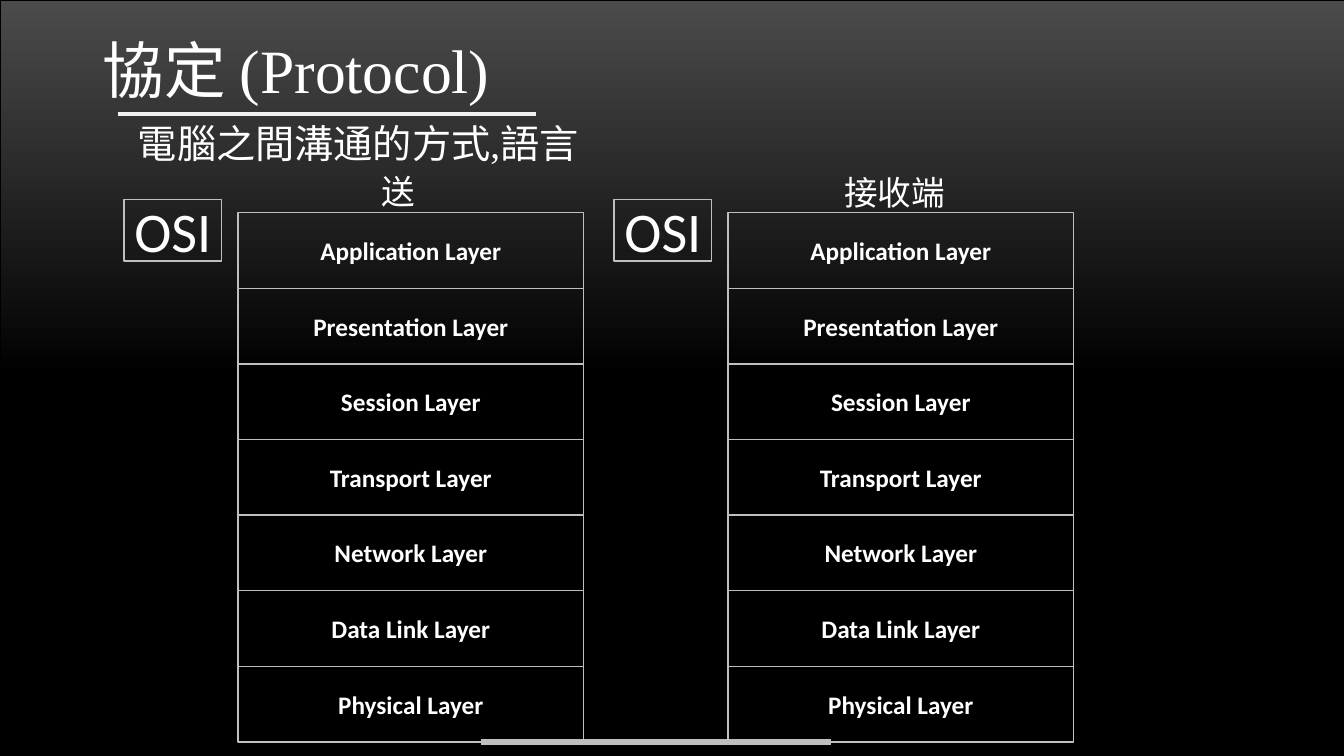
from pptx import Presentation
from pptx.dml.color import RGBColor
from pptx.enum.shapes import MSO_CONNECTOR as Connector, MSO_SHAPE as Shape
from pptx.enum.text import MSO_ANCHOR as Anchor, PP_ALIGN as Align
from pptx.oxml.ns import qn
from pptx.util import Inches, Pt
from lxml import etree

# Content
TITLE = "協定 (Protocol)"
SUBTITLE = "電腦之間溝通的方式,語言"
MODEL = "OSI"
LAYERS = ["Application", "Presentation", "Session", "Transport",
          "Network", "Data Link", "Physical"]
# Each end: heading, heading box, left edge of its layer stack
ENDS = [("送", (3.47, 1.59, 0.97, 0.61), 2.36),
        ("接收端", (8.24, 1.6, 1.27, 0.61), 7.22)]

THEME = {
    "text": "FFFFFF", "border": "BFBFBF", "rule": "F2F2F2",
    "top": "4B4B4B", "base": "000000",
    "serif": "Times New Roman", "sans": "Calibri",
    "title": 44, "subtitle": 28, "model": 40, "heading": 24, "layer": 18,
}

# Layout
WIDTH, HEIGHT = 13.33, 7.5
STACK_TOP, LAYER_WIDTH, LAYER_HEIGHT = 2.11, 3.43, 0.75
MODEL_OFFSET, MODEL_TOP = -1.13, 1.98


def color(name):
    return RGBColor.from_string(THEME[name])


def write(shape, text, size, font="sans", bold=False, centered=True):
    frame = shape.text_frame
    frame.word_wrap = True
    frame.vertical_anchor = Anchor.MIDDLE
    if centered:
        frame.margin_left = frame.margin_right = Inches(0.05)
    para = frame.paragraphs[0]
    para.text = text
    para.alignment = Align.CENTER if centered else Align.LEFT
    if not centered:
        para.line_spacing = 0.9
    para.font.size = Pt(THEME[size])
    para.font.name = THEME[font]
    para.font.bold = bold
    para.font.color.rgb = color("text")


def add_label(area, text, size, **style):
    write(page.shapes.add_textbox(*map(Inches, area)), text, size, **style)


def add_rect(area, border, weight):
    box = page.shapes.add_shape(Shape.RECTANGLE, *map(Inches, area))
    box.shadow.inherit = False
    box.line.color.rgb = color(border)
    box.line.width = Pt(weight)
    return box


def add_outlined(area, text, size, bold=False):
    box = add_rect(area, "border", 1)
    box.fill.background()
    write(box, text, size, bold=bold)


def add_rule(left, right, y, name, weight):
    rule = page.shapes.add_connector(
        Connector.STRAIGHT, Inches(left), Inches(y), Inches(right), Inches(y))
    rule.line.color.rgb = color(name)
    rule.line.width = Pt(weight)
    etree.SubElement(rule._element.spPr, qn("a:effectLst"))


deck = Presentation()
deck.slide_width, deck.slide_height = Inches(WIDTH), Inches(HEIGHT)
page = deck.slides.add_slide(deck.slide_layouts[6])

# Background fading to black at mid-height
backdrop = add_rect((0, 0, WIDTH, HEIGHT), "base", 0.5)
backdrop.fill.gradient()
backdrop.fill.gradient_angle = 270
for stop, (name, position) in zip(backdrop.fill.gradient_stops,
                                  [("top", 0), ("base", 0.5)]):
    stop.color.rgb = color(name)
    stop.position = position

# Title and subtitle
add_label((0.92, 0, 11.5, 1.45), TITLE, "title", font="serif", centered=False)
add_rule(1.17, 5.32, 1.13, "rule", 3)
add_label((1.27, 0.99, 5.99, 0.92), SUBTITLE, "subtitle", font="serif",
          centered=False)

# Sending and receiving stacks
for heading, heading_area, left in ENDS:
    add_outlined((left + MODEL_OFFSET, MODEL_TOP, 0.97, 0.61), MODEL, "model")
    for row, layer in enumerate(LAYERS):
        top = STACK_TOP + row * LAYER_HEIGHT
        add_outlined((left, top, LAYER_WIDTH, LAYER_HEIGHT),
                     f"{layer} Layer", "layer", bold=True)
    add_label(heading_area, heading, "heading")

# Link joining the two physical layers
add_rule(4.77, 8.24, STACK_TOP + len(LAYERS) * LAYER_HEIGHT, "border", 4.5)

deck.save("out.pptx")
